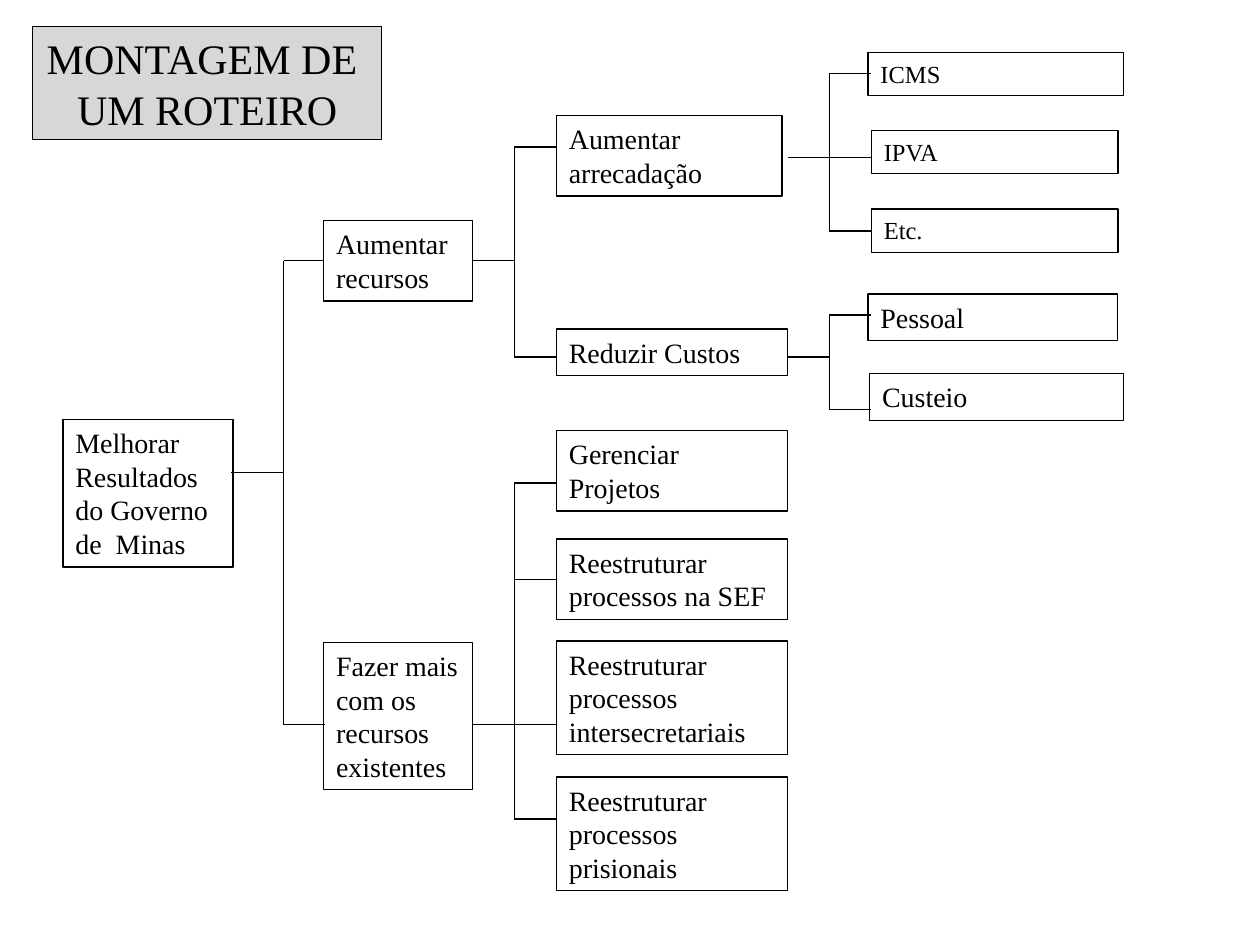
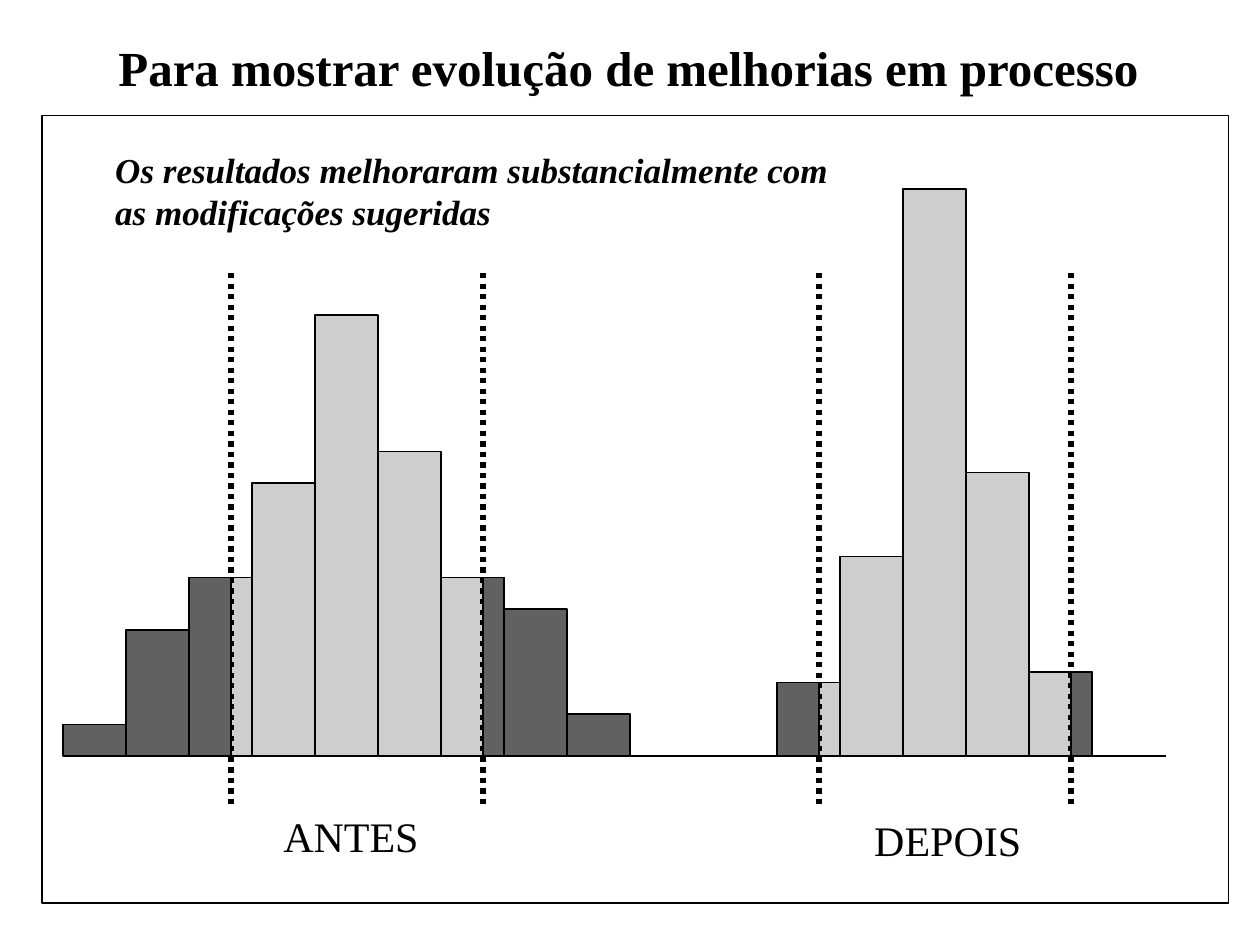
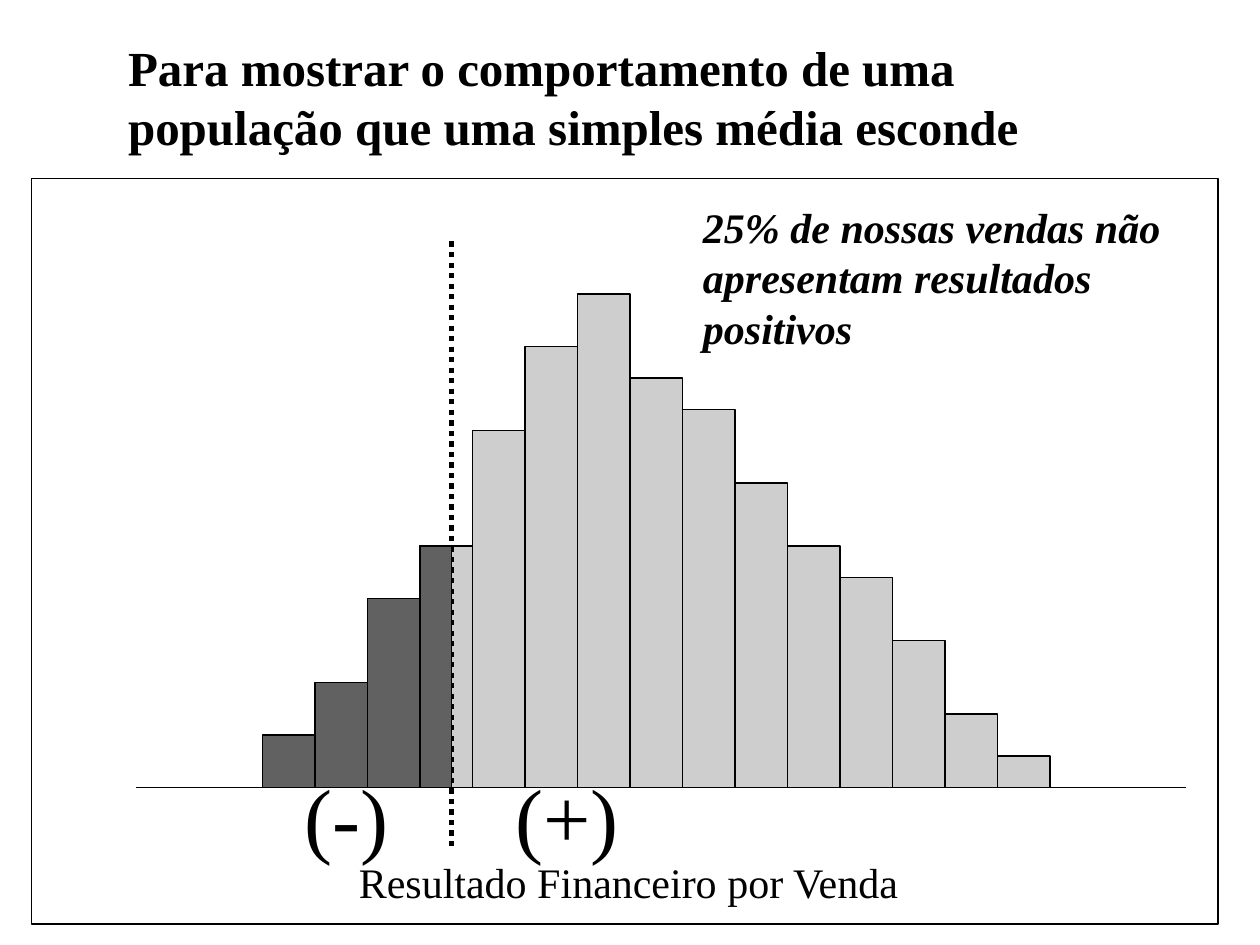
from dataclasses import dataclass, field
from typing import Any, Optional

from lxml.etree import SubElement
from pptx import Presentation
from pptx.dml.color import RGBColor
from pptx.enum.dml import MSO_LINE
from pptx.enum.shapes import MSO_CONNECTOR as Connector, MSO_SHAPE as Preset
from pptx.enum.text import MSO_ANCHOR as Anchor, MSO_AUTO_SIZE as AutoSize, PP_ALIGN as Align
from pptx.oxml.ns import qn
from pptx.util import Pt

# Shared style
COLORS = {"ink": "000000", "dark": "616161", "light": "CECECE", "title_fill": "D7D7D7"}
FONT = "Times New Roman"
THIN, THICK = 0.75, 3
TITLE_FORMAT = {"size": Pt(28), "bold": True}
TITLE_ONLY = 5
LEFT_SIDE, RIGHT_SIDE = 1, 3


@dataclass
class Box:
    left: float
    top: float
    width: float
    height: float
    text: str = ""
    format: dict[str, Any] = field(default_factory=lambda: {"size": Pt(16)})
    wrap: bool = True
    align: Any = Align.LEFT

    def bounds(self) -> list[Pt]:
        return [Pt(value) for value in (self.left, self.top, self.width, self.height)]

    def side(self, site: int) -> tuple[float, float]:
        x = self.left if site == LEFT_SIDE else self.left + self.width
        return x, self.top + self.height / 2


@dataclass
class Bracket:
    """A parent stub, a vertical trunk and one stub for each child."""
    parent: str
    start: float
    parent_y: float
    trunk: float
    end: float
    children: dict[str, float]


@dataclass
class Histogram:
    left: float
    bar_width: float
    base: float
    heights: list[float]
    limit_top: float
    limit_bottom: float
    low: float
    high: Optional[float] = None


def color(name: str) -> RGBColor:
    return RGBColor.from_string(COLORS[name])


# Drawing functions
def write_text(shape: Any, box: Box) -> None:
    frame = shape.text_frame
    frame.text = box.text
    settings = {"word_wrap": box.wrap, "auto_size": AutoSize.NONE, "vertical_anchor": Anchor.TOP,
                "margin_left": Pt(7.2), "margin_right": Pt(7.2),
                "margin_top": Pt(3.6), "margin_bottom": Pt(3.6)}
    for name, value in settings.items():
        setattr(frame, name, value)
    for paragraph in frame.paragraphs:
        paragraph.alignment = box.align
        for run in paragraph.runs:
            for name, value in {"name": FONT, **box.format}.items():
                setattr(run.font, name, value)
            run.font.color.rgb = color("ink")


def set_outline(shape: Any, width: float = THIN) -> None:
    shape.line.color.rgb = color("ink")
    shape.line.width = Pt(width)


def add_title(slide: Any, box: Box) -> Any:
    title = slide.shapes.title
    title.left, title.top, title.width, title.height = box.bounds()
    write_text(title, box)
    return title


def add_caption(slide: Any, box: Box) -> None:
    write_text(slide.shapes.add_textbox(*box.bounds()), box)


def add_rectangle(slide: Any, box: Box, fill: Optional[str] = None) -> Any:
    shape = slide.shapes.add_shape(Preset.RECTANGLE, *box.bounds())
    shape.shadow.inherit = False
    if fill:
        shape.fill.solid()
        shape.fill.fore_color.rgb = color(fill)
    else:
        shape.fill.background()
    set_outline(shape)
    if box.text:
        write_text(shape, box)
    return shape


def add_line(slide: Any, x1: float, y1: float, x2: float, y2: float, width: float = THIN) -> Any:
    line = slide.shapes.add_connector(Connector.STRAIGHT, Pt(x1), Pt(y1), Pt(x2), Pt(y2))
    SubElement(line._element.spPr, qn("a:effectLst"))
    set_outline(line, width)
    return line


def meets(box: Box, site: int, x: float, y: float) -> bool:
    side_x, side_y = box.side(site)
    return abs(side_x - x) <= 1 and side_y == y


def add_bracket(slide: Any, bracket: Bracket, boxes: dict[str, Box], shapes: dict[str, Any]) -> None:
    levels = bracket.children.values()
    add_line(slide, bracket.trunk, min(levels), bracket.trunk, max(levels))
    stub = add_line(slide, bracket.start, bracket.parent_y, bracket.trunk, bracket.parent_y)
    if meets(boxes[bracket.parent], RIGHT_SIDE, bracket.start, bracket.parent_y):
        stub.begin_connect(shapes[bracket.parent], RIGHT_SIDE)
    for child, y in bracket.children.items():
        stub = add_line(slide, bracket.trunk, y, bracket.end, y)
        if meets(boxes[child], LEFT_SIDE, bracket.end, y):
            stub.end_connect(shapes[child], LEFT_SIDE)


def add_histogram(slide: Any, histogram: Histogram) -> None:
    """Bars outside the limits are dark; bars cut by a limit are dark on its outer side."""
    low, base = histogram.low, histogram.base
    high = histogram.high or float("inf")
    outer_parts = []
    for index, height in enumerate(histogram.heights):
        left = histogram.left + index * histogram.bar_width
        right = left + histogram.bar_width
        outside = right <= low or left >= high
        add_rectangle(slide, Box(left, base - height, histogram.bar_width, height),
                      "dark" if outside else "light")
        if left < low < right:
            outer_parts.append(Box(left, base - height, low - left, height))
        if left < high < right:
            outer_parts.append(Box(high, base - height, right - high, height))
    for limit in filter(None, (histogram.low, histogram.high)):
        line = add_line(slide, limit, histogram.limit_top, limit, histogram.limit_bottom, THICK)
        line.line.dash_style = MSO_LINE.ROUND_DOT
    for part in outer_parts:
        add_rectangle(slide, part, "dark")


# Slide 1: decision tree
SMALL = {"size": Pt(14)}
LARGE = {"size": Pt(24)}
TREE_TITLE = Box(18.7, 15.1, 199.4, 64.8, "MONTAGEM DE \nUM ROTEIRO", LARGE, False, Align.CENTER)
TREE_BOXES = {
    "goal": Box(36, 239.8, 97.2, 84.2, "Melhorar Resultados do Governo de  Minas"),
    "resources": Box(185, 126, 85, 46, "Aumentar recursos"),
    "efficiency": Box(185, 367.2, 85, 84.2, "Fazer mais com os recursos existentes"),
    "revenue": Box(318, 66, 128.9, 46, "Aumentar arrecadação"),
    "costs": Box(318, 188, 132, 26.6, "Reduzir Custos"),
    "projects": Box(318, 246, 132, 46, "Gerenciar Projetos"),
    "treasury": Box(318, 308, 132, 46, "Reestruturar processos na SEF"),
    "departments": Box(318, 366.3, 132, 64.8, "Reestruturar processos intersecretariais"),
    "prisons": Box(318, 444, 132, 64.8, "Reestruturar processos prisionais"),
    "icms": Box(496, 30, 146, 24.5, "ICMS", SMALL),
    "ipva": Box(498, 74.6, 141, 24.5, "IPVA", SMALL),
    "others": Box(498, 119.5, 141, 25, "Etc.", SMALL),
    "staff": Box(496, 168, 142.6, 26.6, "Pessoal"),
    "upkeep": Box(497, 213.6, 145, 26.6, "Custeio"),
}
BRACKETS = [
    Bracket("goal", 132, 270, 162, 186, {"resources": 149, "efficiency": 414}),
    Bracket("resources", 270, 149, 294, 318, {"revenue": 84, "costs": 204}),
    Bracket("efficiency", 270, 414, 294, 318,
            {"projects": 276, "treasury": 331, "departments": 414, "prisons": 468}),
    Bracket("revenue", 450, 90, 474, 498, {"icms": 42, "ipva": 90, "others": 132}),
    Bracket("costs", 450, 204, 474, 498, {"staff": 180, "upkeep": 234}),
]


def build_tree(slide: Any) -> None:
    title = add_title(slide, TREE_TITLE)
    title.fill.solid()
    title.fill.fore_color.rgb = color("title_fill")
    set_outline(title)
    shapes = {name: add_rectangle(slide, box) for name, box in TREE_BOXES.items()}
    for bracket in BRACKETS:
        add_bracket(slide, bracket, TREE_BOXES, shapes)


# Slides 2 and 3: histograms
@dataclass
class HistogramSlide:
    title: Box
    frame: Box
    axis: tuple[float, float]
    histograms: list[Histogram]
    captions: list[Box]


SIGN = {"size": Pt(48)}
EMPHASIS = {"bold": True, "italic": True}
HISTOGRAM_SLIDES = [
    HistogramSlide(
        Box(60.5, 18, 598.3, 41, "Para mostrar evolução de melhorias em processo", TITLE_FORMAT, False),
        Box(24, 66, 678, 450),
        (36, 666),
        [Histogram(36, 36, 432, [18, 72, 102, 156, 252, 174, 102, 84, 24], 156, 462, 132, 276),
         Histogram(444, 36, 432, [42, 114, 324, 162, 48], 156, 462, 468, 612)],
        [Box(154.8, 459.4, 91.4, 36, "ANTES", LARGE, False),
         Box(492.5, 462.2, 97.9, 36, "DEPOIS", LARGE, False),
         Box(58.8, 81.4, 427, 55.4,
             "Os resultados melhoraram substancialmente com as modificações sugeridas",
             {"size": Pt(20), **EMPHASIS})]),
    HistogramSlide(
        Box(66, 18, 588, 75, "Para mostrar o comportamento de uma população que uma simples média esconde",
            TITLE_FORMAT),
        Box(18, 102, 678, 426),
        (78, 678),
        [Histogram(150, 30, 450,
                   [30, 60, 108, 138, 204, 252, 282, 234, 216, 174, 138, 120, 84, 42, 18],
                   138, 486, 258)],
        [Box(198, 486, 325.4, 36, "Resultado Financeiro por Venda", LARGE, False),
         Box(167, 433.4, 62, 64.8, "(-)", SIGN, False),
         Box(287.3, 433.4, 73.4, 64.8, "(+)", SIGN, False),
         Box(394.6, 111.6, 289.4, 93.6, "25% de nossas vendas não apresentam resultados positivos",
             {**LARGE, **EMPHASIS})]),
]


def build_histograms(slide: Any, content: HistogramSlide) -> None:
    add_title(slide, content.title)
    start, end = content.axis
    base = content.histograms[0].base
    add_line(slide, start, base, end, base)
    for histogram in content.histograms:
        add_histogram(slide, histogram)
    for caption in content.captions:
        add_caption(slide, caption)
    add_rectangle(slide, content.frame)


def main() -> None:
    presentation = Presentation()
    presentation.slide_width, presentation.slide_height = Pt(720), Pt(540)
    layout = presentation.slide_layouts[TITLE_ONLY]
    build_tree(presentation.slides.add_slide(layout))
    for content in HISTOGRAM_SLIDES:
        build_histograms(presentation.slides.add_slide(layout), content)
    presentation.save("out.pptx")


if __name__ == "__main__":
    main()
